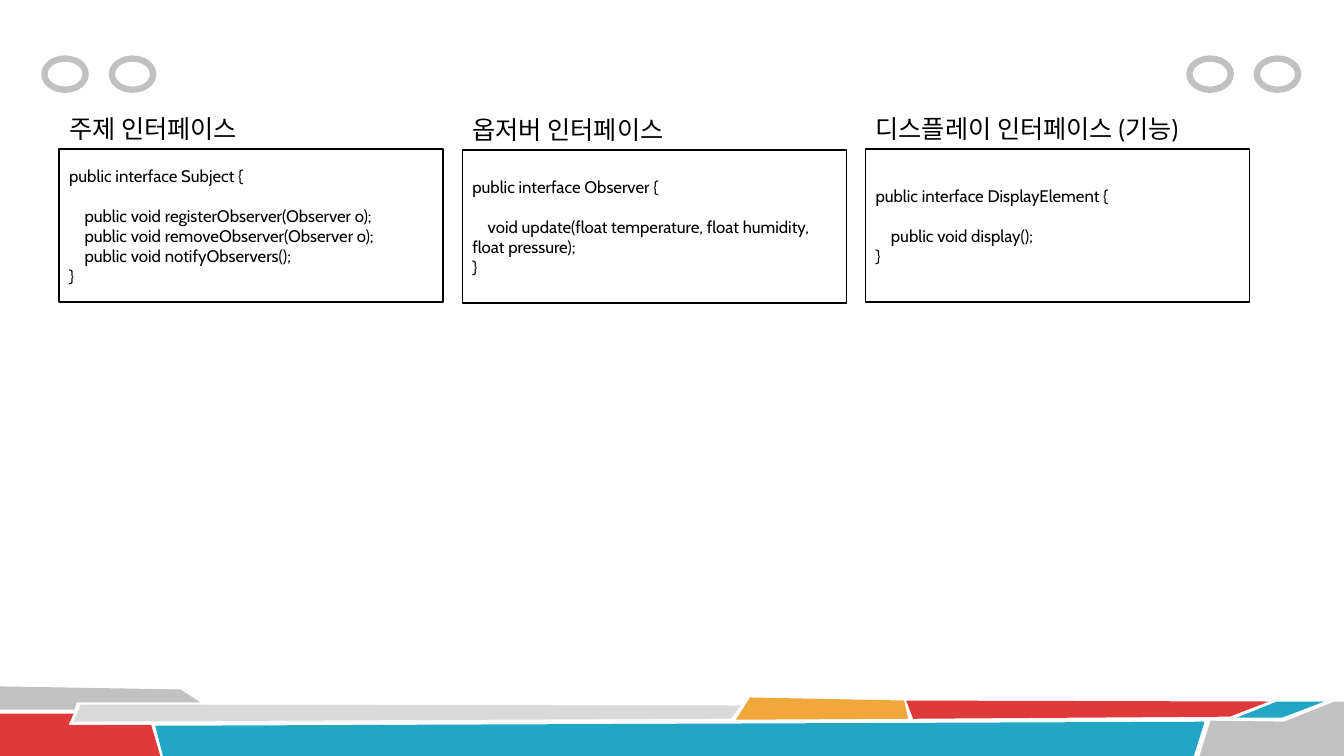
"""Build a slide showing three observer-pattern interfaces."""
import pptx
import pptx.util
from pptx.dml.color import RGBColor
from pptx.enum.shapes import MSO_SHAPE
from pptx.enum.text import MSO_ANCHOR, MSO_AUTO_SIZE, PP_ALIGN

Pt = pptx.util.Pt
COLORS = {
    "gray": "C1C1C1",
    "light": "DADADA",
    "red": "DF3939",
    "teal": "21A6C5",
    "orange": "F0A73C",
    "black": "000000",
}


def color(name):
    return RGBColor.from_string(COLORS[name])


def format_text(p, size):
    p.alignment = PP_ALIGN.LEFT
    for r in p.runs:
        r.font.name = "Cabin"
        r.font.size = Pt(size)
        r.font.color.rgb = color("black")


prs = pptx.Presentation()
prs.slide_width, prs.slide_height = Pt(960), Pt(540)
s = prs.slides.add_slide(prs.slide_layouts[6])

bands = [
    ("gray", [(0, 490.3), (128.9, 492.5), (143.3, 501.8), (54.7, 501.8), (53.3, 506.9), (0, 506.9)]),
    ("red", [(0, 509.8), (52.6, 509.8), (49, 517.7), (108, 517.7), (114.5, 540), (0, 540)]),
    ("light", [(57.6, 503.3), (529.2, 504), (522, 513.4), (52.6, 515.5)]),
    ("teal", [(110.9, 518.4), (860.4, 515.5), (852.5, 540.7), (116.6, 540.7)]),
    ("orange", [(535.7, 498.2), (645.8, 500.4), (648.7, 513.4), (525.6, 514.1)]),
    ("red", [(647.3, 500.4), (906.5, 501.1), (878.4, 511.9), (652.3, 513.4)]),
    ("teal", [(912.2, 501.1), (946.1, 501.1), (915.8, 512.6), (883.4, 512.6)]),
    ("gray", [(864.7, 514.8), (917.3, 515.5), (953.3, 501.1), (960, 501.1), (960, 540), (856.8, 540)]),
]
for name, points in bands:
    corners = [(Pt(x), Pt(y)) for x, y in points]
    builder = s.shapes.build_freeform(*corners[0])
    builder.add_line_segments(corners[1:])
    sp = builder.convert_to_shape()
    sp.shadow.inherit = False
    sp.fill.solid()
    sp.fill.fore_color.rgb = color(name)
    sp.line.fill.background()

for left in (31.7, 79.9, 849.6, 897.8):
    sp = s.shapes.add_shape(MSO_SHAPE.OVAL, Pt(left), Pt(41.8), Pt(29.5), Pt(22.3))
    sp.shadow.inherit = False
    sp.fill.background()
    sp.line.color.rgb = color("gray")
    sp.line.width = Pt(4.5)

interfaces = [
    ("주제 인터페이스", 145.4, 106.6, "Subject", [
        "public void registerObserver(Observer o);",
        "public void removeObserver(Observer o);",
        "public void notifyObservers();",
    ]),
    ("옵저버 인터페이스", 164.2, 107.3, "Observer", [
        "void update(float temperature, float humidity, float pressure);",
    ]),
    ("디스플레이 인터페이스 (기능)", 253.4, 106.6, "DisplayElement", [
        "public void display();",
    ]),
]
for i, (heading, width, top, name, methods) in enumerate(interfaces):
    left = 42.3 + 288 * i
    sp = s.shapes.add_shape(MSO_SHAPE.RECTANGLE, Pt(left), Pt(top), Pt(274.3), Pt(109.4))
    sp.shadow.inherit = False
    sp.fill.background()
    sp.line.color.rgb = color("black")
    sp.line.width = Pt(1.25)
    tf = sp.text_frame
    tf.word_wrap = True
    tf.vertical_anchor = MSO_ANCHOR.MIDDLE
    tf.text = "\n".join([f"public interface {name} {{", *methods, "}"])
    for p in tf.paragraphs:
        format_text(p, 12)
    tf.paragraphs[0].space_after = Pt(14.4)
    for p in tf.paragraphs[1:-1]:
        pPr = p._p.get_or_add_pPr()
        pPr.set("marL", "0")
        pPr.set("indent", str(Pt(11)))

    sp = s.shapes.add_textbox(Pt(left), Pt(top - 29), Pt(width), Pt(29))
    tf = sp.text_frame
    tf.word_wrap = False
    tf.auto_size = MSO_AUTO_SIZE.SHAPE_TO_FIT_TEXT
    tf.text = heading
    format_text(tf.paragraphs[0], 18)

prs.save("out.pptx")
